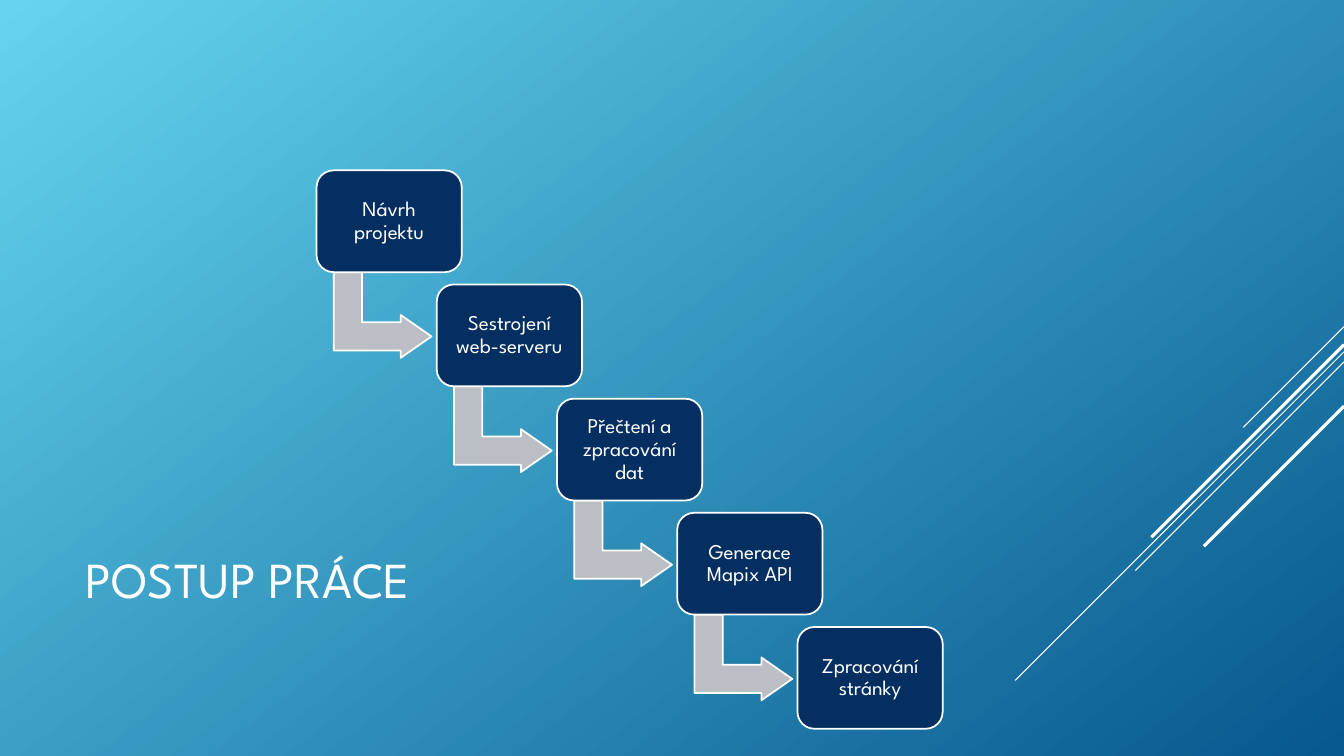
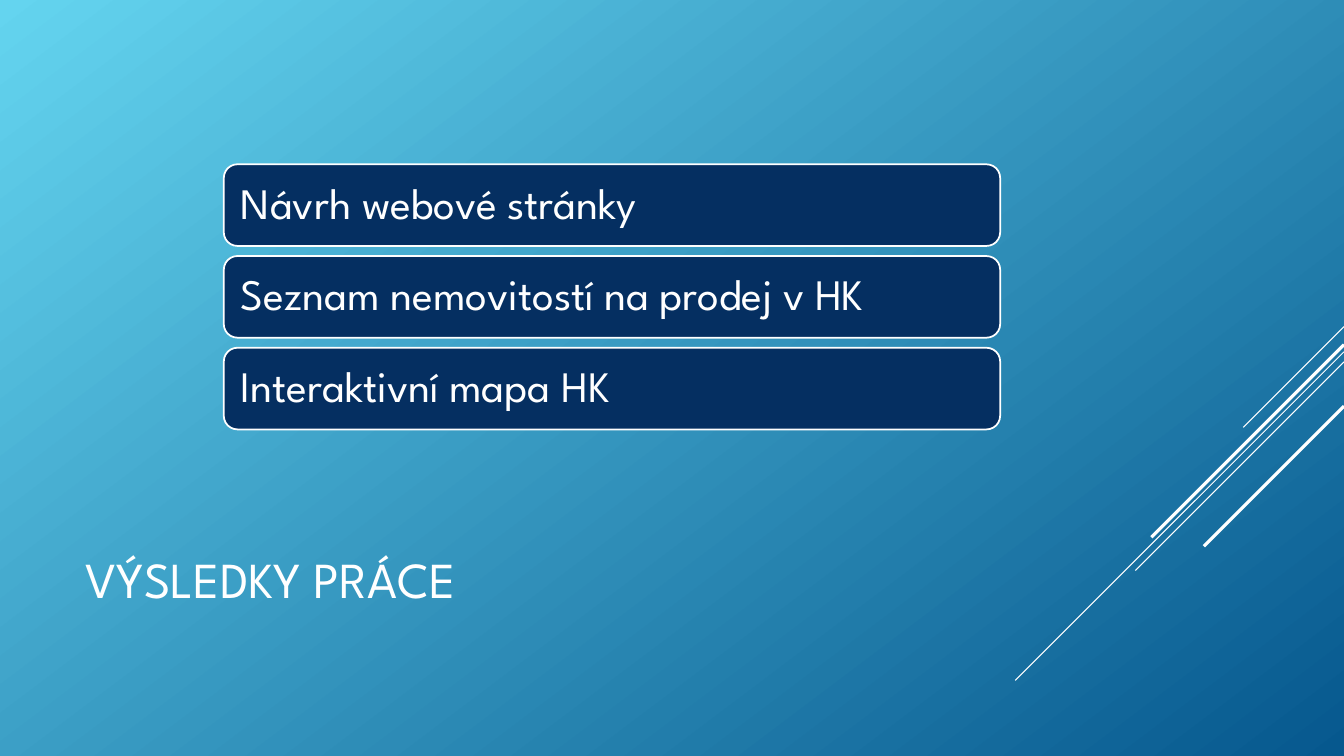
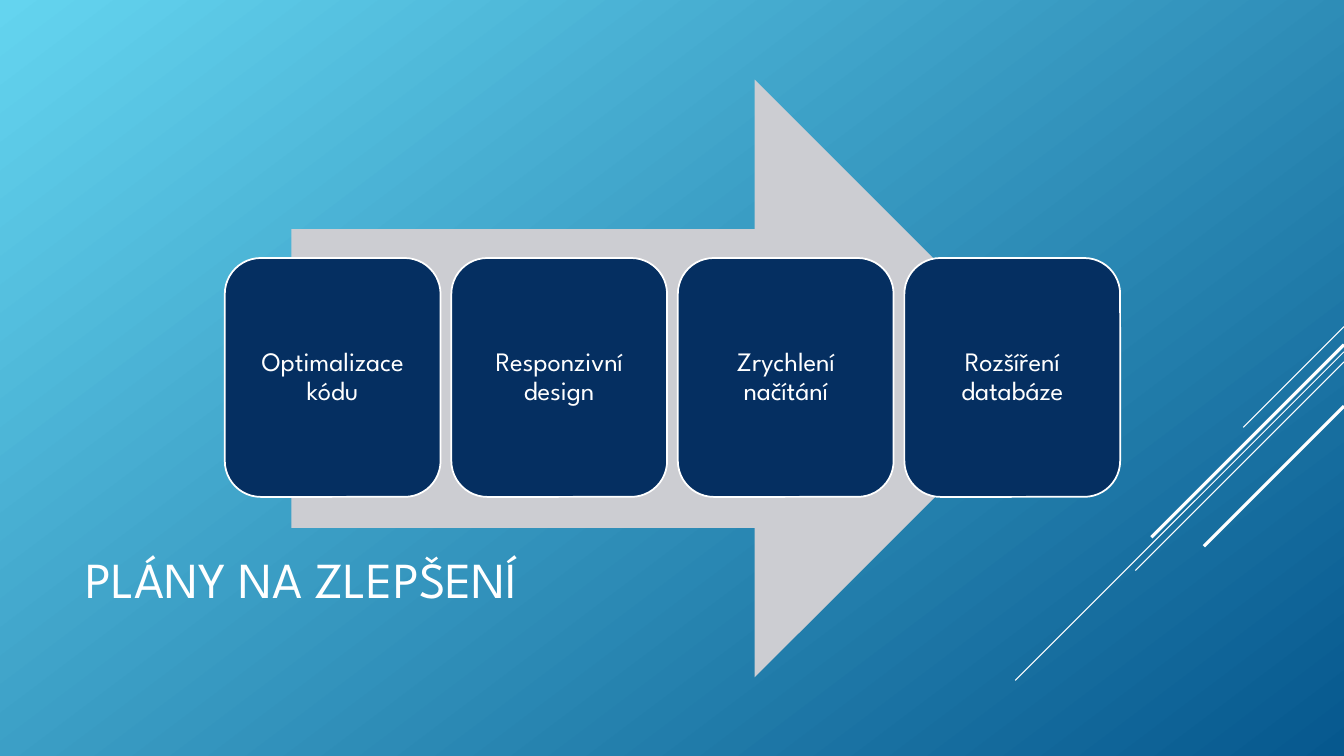
from lxml import etree
from pptx import Presentation
from pptx import util as u
from pptx.dml.color import RGBColor
from pptx.enum import shapes, text
from pptx.oxml import ns

WIDE, HIGH = 13.33, 7.5
FONT = "League Spartan"
COLORS = {
    "sky": "64D4EF",
    "deep": "06588E",
    "navy": "052F61",
    "white": "FFFFFF",
    "steel": "BCBEC5",
    "pale": "CCCDD2",
}
RAYS = [
    (3.24, 1.0, 0.75),
    (3.49, 3.26, 0.75),
    (3.59, 2.07, 0.75),
    (3.42, 1.91, 2.25),
    (4.03, 1.39, 2.25),
]
STEPS = {
    "title": "POSTUP PRÁCE",
    "items": [
        "Návrh projektu",
        "Sestrojení web-serveru",
        "Přečtení a zpracování dat",
        "Generace Mapix API",
        "Zpracování stránky",
    ],
    "first": (3.14, 1.69),
    "last": (7.91, 6.22),
    "size": (1.44, 1.01),
    "look": {"size": 15, "inset": 0.11, "after": 6},
}
RESULTS = {
    "title": "VÝSLEDKY PRÁCE",
    "items": [
        "Návrh webové stránky",
        "Seznam nemovitostí na prodej v HK",
        "Interaktivní mapa HK",
    ],
    "first": (2.22, 1.63),
    "last": (2.22, 3.45),
    "size": (7.7, 0.81),
    "look": {"size": 31, "inset": 0.17, "after": 13, "align": "LEFT"},
}
PLANS = {
    "title": "PLÁNY NA ZLEPŠENÍ",
    "items": [
        "Optimalizace kódu",
        "Responzivní design",
        "Zrychlení načítání",
        "Rozšíření databáze",
    ],
    "first": (2.23, 2.56),
    "last": (8.97, 2.56),
    "size": (2.14, 2.37),
    "look": {"size": 19, "inset": 0.18, "after": 8},
}


def color(name):
    return RGBColor.from_string(COLORS[name])


def write(shape, words, size, align="CENTER", inset=0.1, after=None, lead=None):
    frame = shape.text_frame
    frame.word_wrap = True
    frame.vertical_anchor = text.MSO_ANCHOR.MIDDLE
    frame.margin_left = frame.margin_right = u.Inches(inset)
    frame.margin_top = frame.margin_bottom = u.Inches(inset)
    para = frame.paragraphs[0]
    para.alignment = text.PP_ALIGN[align]
    para.line_spacing = lead
    if after:
        para.space_after = u.Pt(after)
    run = para.add_run()
    run.text = words
    run.font.size = u.Pt(size)
    run.font.name = FONT
    run.font.color.rgb = color("white")


def draw(slide, kind, box, fill, edge=True):
    shape = slide.shapes.add_shape(kind, *map(u.Inches, box))
    shape.shadow.inherit = False
    shape.fill.solid()
    shape.fill.fore_color.rgb = color(fill)
    if edge:
        shape.line.color.rgb = color("white")
        shape.line.width = u.Pt(1.25)
    else:
        shape.line.fill.background()
    return shape


def paint(master):
    fill = master.background.fill
    fill.gradient()
    fill.gradient_angle = 360 - 53
    for stop, name, place in zip(fill.gradient_stops, ("sky", "deep"), (0, 1)):
        stop.color.rgb = color(name)
        stop.position = place


def start(deck, title):
    slide = deck.slides.add_slide(deck.slide_layouts[6])
    for top, reach, width in RAYS:
        ends = (WIDE, top, WIDE - reach, top + reach)
        ray = slide.shapes.add_connector(
            shapes.MSO_CONNECTOR.STRAIGHT, *map(u.Inches, ends))
        ray.line.color.rgb = color("white")
        ray.line.width = u.Pt(width)
        etree.SubElement(ray.line._get_or_add_ln().getparent(), ns.qn("a:effectLst"))
    box = slide.shapes.add_textbox(*map(u.Inches, (0.75, 4.91, 9.33, 1.65)))
    write(box, title, 36, align="LEFT")
    return slide


def spots(data):
    gaps = len(data["items"]) - 1
    (x, y), (right, low) = data["first"], data["last"]
    return [(x + (right - x) * i / gaps, y + (low - y) * i / gaps)
            for i in range(gaps + 1)]


def cards(slide, data):
    wide, high = data["size"]
    look = dict(data["look"])
    corner = min(wide, high) / 6
    look["inset"] -= 0.29 * corner
    for words, (x, y) in zip(data["items"], spots(data)):
        card = draw(slide, shapes.MSO_SHAPE.ROUNDED_RECTANGLE,
                    (x, y, wide, high), "navy")
        write(card, words, lead=0.9, **look)


def bends(slide, data):
    for x, y in spots(data)[:-1]:
        bend = draw(slide, shapes.MSO_SHAPE.BENT_UP_ARROW,
                    (x + 0.23, y + 0.95, 0.85, 0.97), "steel")
        bend.rotation = 90
        for i, part in enumerate((0.33, 0.25, 0.36)):
            bend.adjustments[i] = part


def main():
    deck = Presentation()
    deck.slide_width, deck.slide_height = u.Inches(WIDE), u.Inches(HIGH)
    paint(deck.slide_master)
    for data in (STEPS, RESULTS, PLANS):
        slide = start(deck, data["title"])
        if data is STEPS:
            bends(slide, data)
        if data is PLANS:
            draw(slide, shapes.MSO_SHAPE.RIGHT_ARROW,
                 (2.89, 0.79, 7.56, 5.93), "pale", edge=False)
        cards(slide, data)
    deck.save("out.pptx")


if __name__ == "__main__":
    main()
